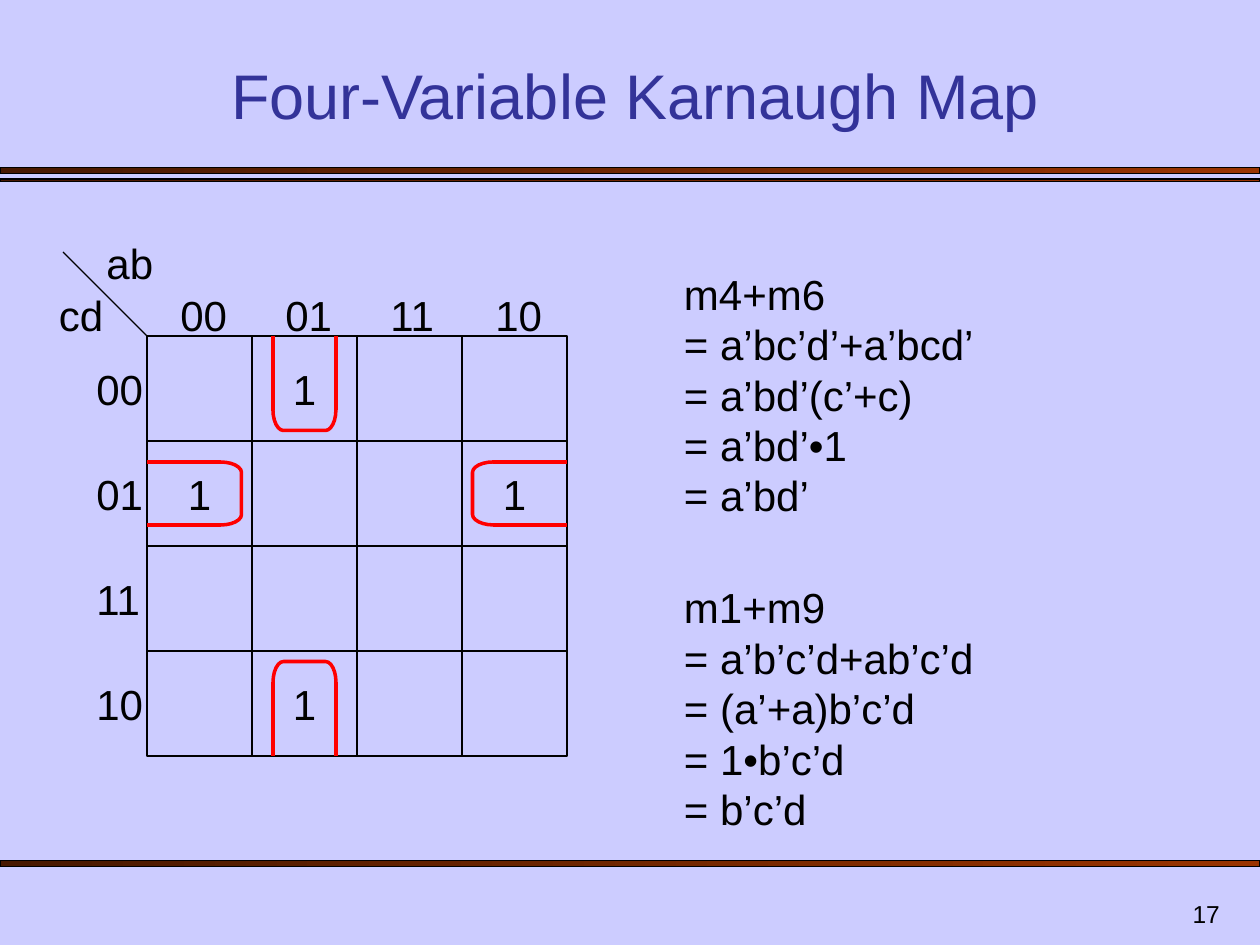
from itertools import product

from lxml import etree
from pptx import Presentation
from pptx.dml.color import RGBColor
from pptx.enum import shapes, text
from pptx.oxml.ns import qn
from pptx.util import Inches, Pt

PALE = RGBColor(0xCC, 0xCC, 0xFF)
NAVY = RGBColor(0x33, 0x33, 0x99)
BLACK = RGBColor(0, 0, 0)
RED = RGBColor(0xFF, 0, 0)
DARK = RGBColor(0x47, 0x18, 0x00)
RUST = RGBColor(0x99, 0x33, 0x00)

LEFT, MID, RIGHT = text.PP_ALIGN.LEFT, text.PP_ALIGN.CENTER, text.PP_ALIGN.RIGHT
TOP, BOTTOM = text.MSO_ANCHOR.TOP, text.MSO_ANCHOR.BOTTOM
CODES = ["00", "01", "11", "10"]
CELL = Inches(5 / 6)
# Cells holding a 1, as (column, row)
ONES = [(1, 0), (0, 1), (3, 1), (1, 3)]
# Half loops: column, row, direction of the open side, turn in degrees
LOOPS = [(0, 1, (-1, 0), 180), (3, 1, (1, 0), 0),
         (1, 3, (0, 1), 90), (1, 0, (0, -1), 270)]


def add_text(parts, box, words, size=24, color=BLACK, align=LEFT,
             anchor=TOP, lead=None):
    frame = parts.add_textbox(*box).text_frame
    frame.word_wrap = True
    frame.vertical_anchor = anchor
    para = frame.paragraphs[0]
    para.text = words
    para.alignment = align
    para.line_spacing = lead
    for run in para.runs:
        run.font.name = "Arial"
        run.font.size = Pt(size)
        run.font.color.rgb = color


def add_line(parts, start, end, color=BLACK, width=0.75):
    line = parts.add_connector(shapes.MSO_CONNECTOR.STRAIGHT, *start, *end)
    line.line.color.rgb = color
    line.line.width = Pt(width)
    etree.SubElement(line._element.spPr, qn("a:effectLst"))


def add_outline(parts, kind, box, color=BLACK, width=0.75):
    shape = parts.add_shape(kind, *box)
    shape.shadow.inherit = False
    shape.fill.background()
    shape.line.color.rgb = color
    shape.line.width = Pt(width)
    return shape


def add_bar(parts, box):
    bar = add_outline(parts, shapes.MSO_SHAPE.RECTANGLE, box)
    bar.fill.gradient()
    bar.fill.gradient_angle = 0
    for stop, color, place in zip(bar.fill.gradient_stops, (DARK, RUST), (0, 1)):
        stop.color.rgb = color
        stop.position = place


def add_loop(parts, x, y, way, turn):
    """Half loop around the cell centre x, y, open towards way."""
    dx, dy = way
    wide, tall = Inches(1 / 6), Inches(0.5)
    mid_x, mid_y = x - dx * Inches(0.25), y - dy * Inches(0.25)
    cap = add_outline(parts, shapes.MSO_SHAPE.LEFT_BRACKET,
                      (mid_x - wide // 2, mid_y - tall // 2, wide, tall), RED, 2)
    cap.adjustments[0] = 0.5
    cap.rotation = turn
    for side in (-tall // 2, tall // 2):
        ends = [(x + dx * far + dy * side, y + dy * far + dx * side)
                for far in (-wide, CELL // 2)]
        add_line(parts, *ends, RED, 2)


def add_map(slide, left, top):
    """Karnaugh map whose grid starts at left, top."""
    parts = slide.shapes.add_group_shape().shapes

    # Grid
    for row, col in product(range(4), repeat=2):
        add_outline(parts, shapes.MSO_SHAPE.RECTANGLE,
                    (left + col * CELL, top + row * CELL, CELL, CELL))

    # Corner with the variable names
    add_line(parts, (left - Inches(2 / 3), top - Inches(2 / 3)), (left, top))
    high = Inches(0.5)
    head = top - Inches(0.42)
    add_text(parts, (left - Inches(0.42), top - Inches(0.83), Inches(0.67), high), "ab")
    add_text(parts, (left - Inches(0.83), head, Inches(0.58), high), "cd", align=RIGHT)

    # Column and row codes
    wide, inset = Inches(0.6), Inches(1 / 6)
    for at, code in enumerate(CODES):
        step = at * CELL
        add_text(parts, (left + inset + step, head, wide, high), code)
        add_text(parts, (left - high, top + inset + step, wide, high), code)

    # Ones
    for col, row in ONES:
        add_text(parts, (left + col * CELL, top + inset + row * CELL, CELL, high),
                 "1", align=MID)

    # Loops
    for col, row, way, turn in LOOPS:
        group = slide.shapes.add_group_shape().shapes
        add_loop(group, left + col * CELL + CELL // 2,
                 top + row * CELL + CELL // 2, way, turn)


def add_proof(slide, box, lines):
    add_text(slide.shapes, box, "\v".join(lines), lead=Pt(28.8))


def add_frame(slide, wide):
    """Rules, title and page number."""
    for top, high in ((1.33, 0.05), (1.42, 0.02), (6.83, 0.05)):
        add_bar(slide.shapes, (0, Inches(top), wide, Inches(high)))
    add_text(slide.shapes, (Inches(7.7), Inches(7), Inches(2.08), Inches(0.42)),
             "17", 14, align=RIGHT, anchor=BOTTOM)
    add_text(slide.shapes, (Inches(0.58), Inches(0.42), Inches(8.92), Inches(0.68)),
             "Four-Variable Karnaugh Map", 36, NAVY, MID, BOTTOM)


def main():
    deck = Presentation()
    deck.slide_width, deck.slide_height = Inches(10), Inches(7.5)
    slide = deck.slides.add_slide(deck.slide_layouts[6])
    slide.background.fill.solid()
    slide.background.fill.fore_color.rgb = PALE

    add_frame(slide, deck.slide_width)
    add_map(slide, Inches(7 / 6), Inches(8 / 3))
    left, wide, high = Inches(5.33), Inches(3.75), Inches(2.1)
    add_proof(slide, (left, Inches(2.08), wide, high),
              ["m4+m6", "= a’bc’d’+a’bcd’", "= a’bd’(c’+c)", "= a’bd’•1", "= a’bd’"])
    add_proof(slide, (left, Inches(4.57), wide, high),
              ["m1+m9", "= a’b’c’d+ab’c’d", "= (a’+a)b’c’d", "= 1•b’c’d", "= b’c’d"])
    deck.save("out.pptx")


if __name__ == "__main__":
    main()
